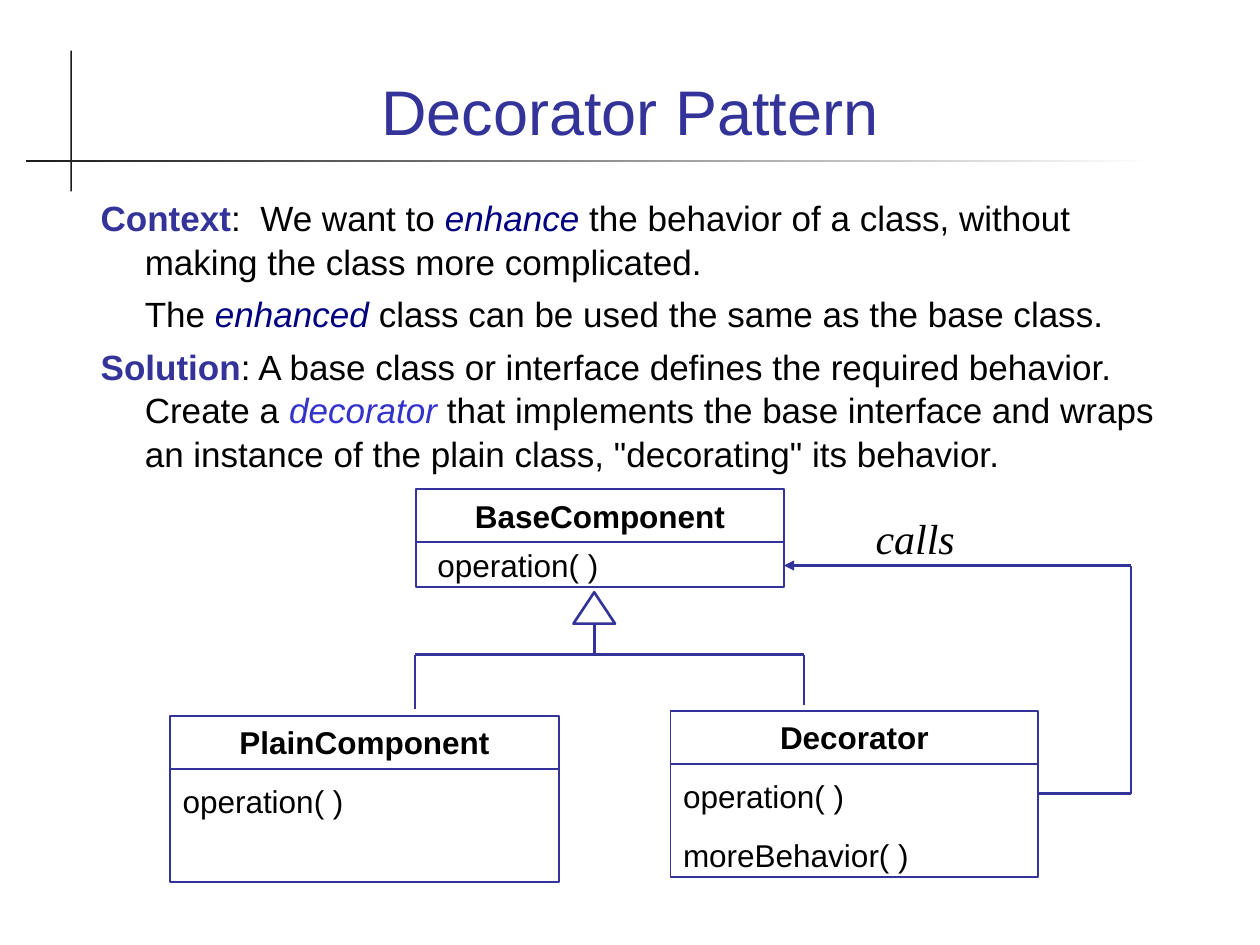
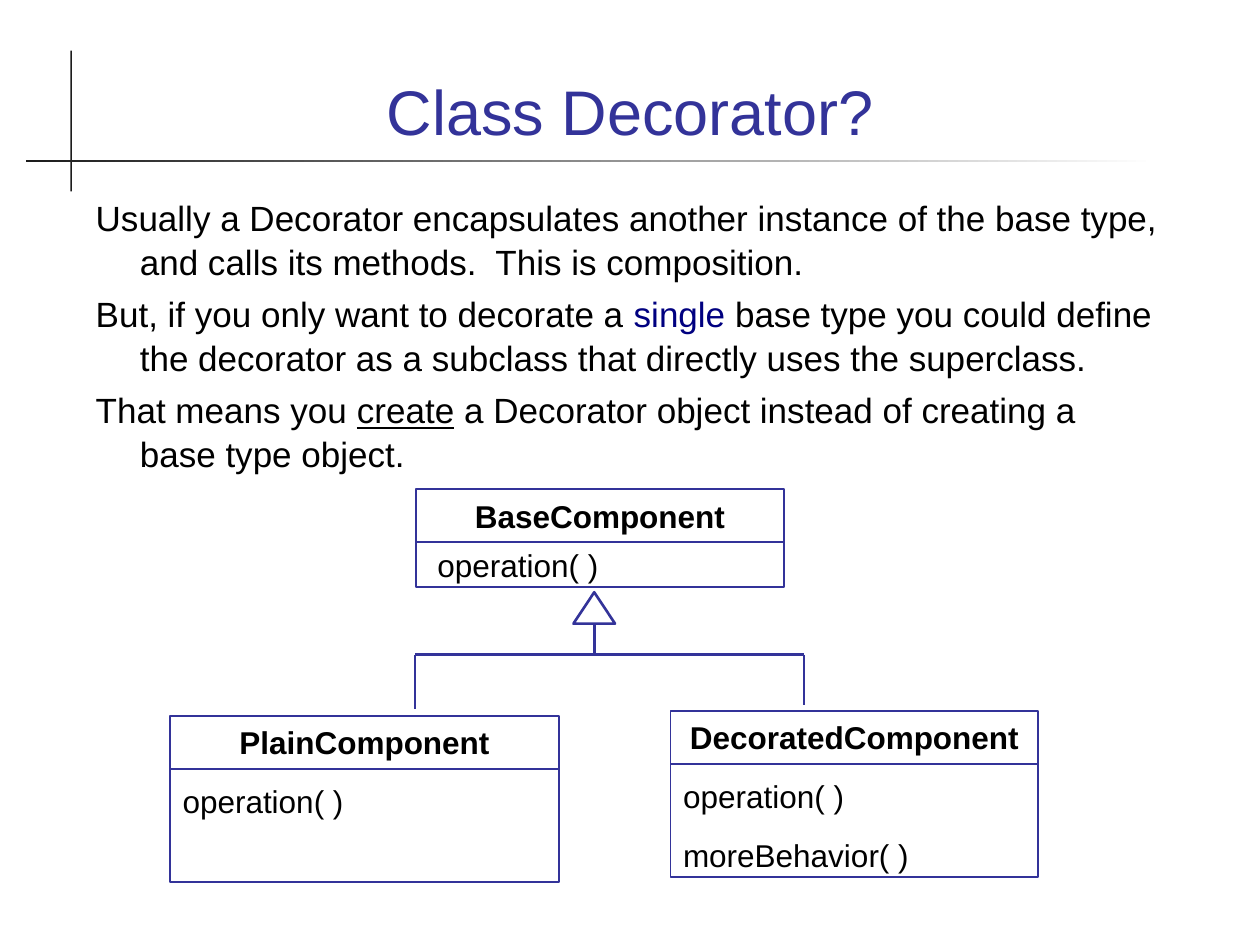
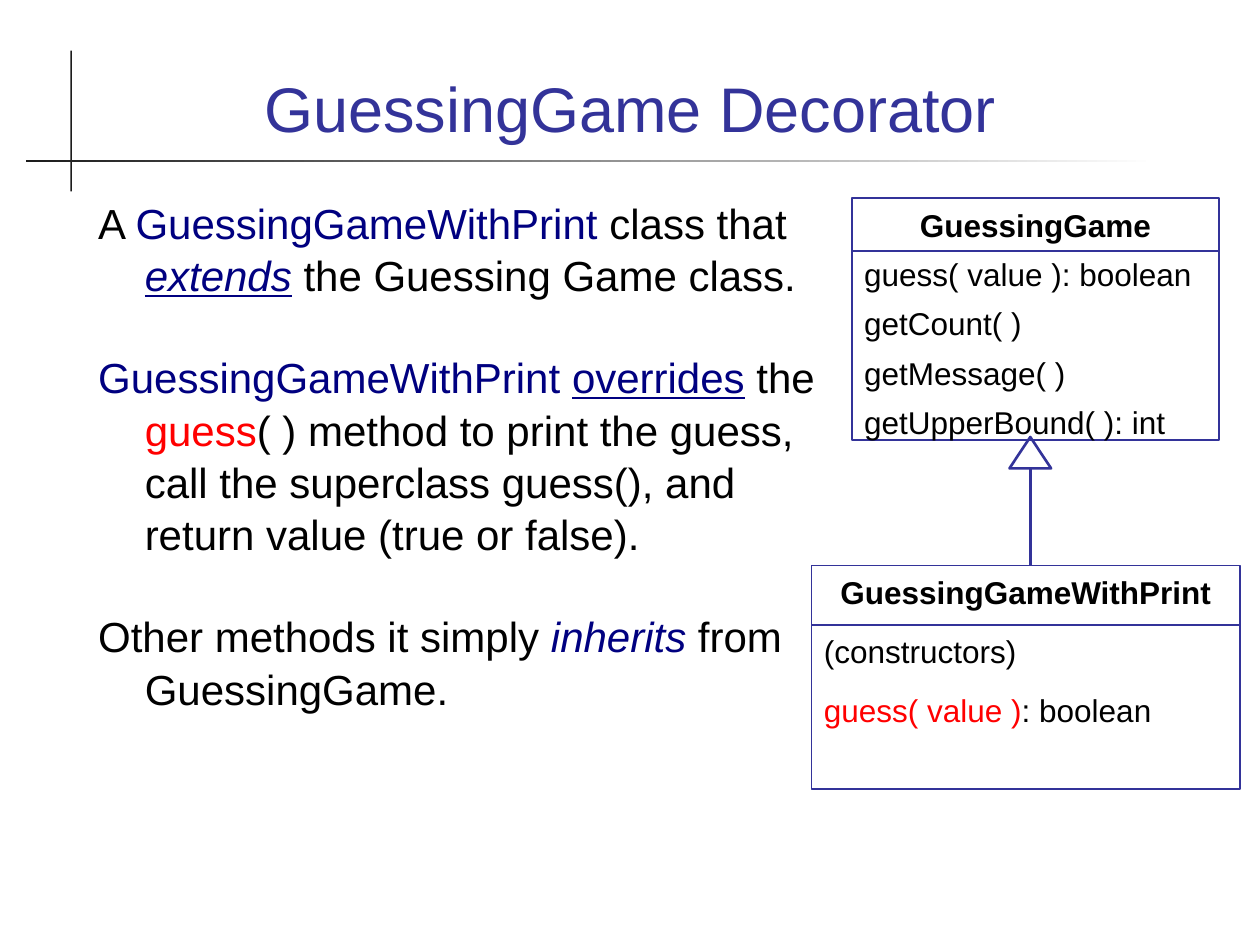
from dataclasses import dataclass

import pptx
import pptx.dml.color
import pptx.enum.shapes
import pptx.enum.text
import pptx.oxml.ns
import pptx.util
from lxml import etree
from pptx.util import Cm, Pt

SHAPE = pptx.enum.shapes.MSO_SHAPE
ALIGN = pptx.enum.text.PP_ALIGN
ANCHOR = pptx.enum.text.MSO_ANCHOR


@dataclass(frozen=True)
class Theme:
    indigo: str = "333399"
    navy: str = "000080"
    violet: str = "3333CC"
    red: str = "FF0000"
    black: str = "000000"
    rule: str = "1C1C1C"
    white: str = "FFFFFF"
    sans: str = "Arial"
    serif: str = "Times New Roman"
    title_size: float = 36
    body_size: float = 20
    large_size: float = 24
    class_size: float = 18
    leading: float = 1.04
    box_line: float = 1
    link_line: float = 1.5


THEME = Theme()

# Emphasis used inside running text
EMPHASIS = {
    "label": dict(color=THEME.indigo, bold=True),
    "term": dict(color=THEME.navy),
    "stress": dict(color=THEME.navy, italic=True),
    "pattern": dict(color=THEME.violet, italic=True),
    "underlined": dict(underline=True),
    "term underlined": dict(color=THEME.navy, underline=True),
    "stress underlined": dict(color=THEME.navy, italic=True, underline=True),
    "override": dict(color=THEME.red),
}


def rgb(color):
    return pptx.dml.color.RGBColor.from_string(color)


def style_font(font, color=None, **settings):
    for key, value in settings.items():
        setattr(font, key, value)
    if color:
        font.color.rgb = rgb(color)


class Deck:
    """Holds the theme and the slide being built."""

    def __init__(self, theme):
        self.theme = theme
        self.presentation = pptx.Presentation()
        self.presentation.slide_width = Cm(25.4)
        self.presentation.slide_height = Cm(19.05)
        self.slide = None

    def new_slide(self, title, height=2.41):
        blank = self.presentation.slide_layouts[6]
        self.slide = self.presentation.slides.add_slide(blank)
        self.title_rules()
        self.text(1.7, 0.71, 22, height, [title], self.theme.title_size,
                  color=self.theme.indigo, align=ALIGN.CENTER,
                  anchor=ANCHOR.BOTTOM, leading=1)

    def shape(self, kind, left, top, width, height):
        shape = self.slide.shapes.add_shape(
            kind, Cm(left), Cm(top), Cm(width), Cm(height))
        shape.shadow.inherit = False
        return shape

    def title_rules(self):
        upright = self.shape(SHAPE.RECTANGLE, 1.42, 1.02, 0.03, 2.84)
        upright.fill.solid()
        upright.fill.fore_color.rgb = rgb(self.theme.rule)
        fading = self.shape(SHAPE.RECTANGLE, 0.53, 3.23, 22.78, 0.03)
        fading.fill.gradient()
        fading.fill.gradient_angle = 0
        for stop, color in zip(fading.fill.gradient_stops,
                               (self.theme.rule, self.theme.white)):
            stop.color.rgb = rgb(color)
        for rule in (upright, fading):
            rule.line.fill.background()

    def paragraph(self, paragraph, runs, size, color=None, bold=False,
                  italic=False, face=None, align=ALIGN.LEFT, before=0,
                  hanging=None, leading=None):
        paragraph.alignment = align
        paragraph.line_spacing = leading or self.theme.leading
        paragraph.space_before = Pt(before)
        if hanging:
            properties = paragraph._p.get_or_add_pPr()
            properties.set("marL", str(Cm(0.97)))
            properties.set("indent", str(-Cm(hanging)))
        style_font(paragraph.font, color or self.theme.black, size=Pt(size),
                   name=face or self.theme.sans, bold=bold, italic=italic)
        for part in [runs] if isinstance(runs, str) else runs:
            words, emphasis = (part, None) if isinstance(part, str) else part
            run = paragraph.add_run()
            run.text = words
            if emphasis:
                style_font(run.font, **EMPHASIS[emphasis])

    def text(self, left, top, width, height, paragraphs, size, gap=0,
             anchor=ANCHOR.TOP, **style):
        box = self.slide.shapes.add_textbox(
            Cm(left), Cm(top), Cm(width), Cm(height))
        frame = box.text_frame
        frame.word_wrap = True
        frame.vertical_anchor = anchor
        for index, runs in enumerate(paragraphs):
            paragraph = frame.add_paragraph() if index else frame.paragraphs[0]
            self.paragraph(paragraph, runs, size,
                           before=gap if index else 0, **style)

    def line(self, x1, y1, x2, y2, weight=None, arrow=False):
        line = self.slide.shapes.add_connector(
            pptx.enum.shapes.MSO_CONNECTOR.STRAIGHT,
            Cm(x1), Cm(y1), Cm(x2), Cm(y2))
        line.line.color.rgb = rgb(self.theme.indigo)
        line.line.width = Pt(weight or self.theme.link_line)
        qn = pptx.oxml.ns.qn
        if arrow:
            etree.SubElement(line.line._get_or_add_ln(), qn("a:headEnd"),
                             type="triangle")
        etree.SubElement(line._element.spPr, qn("a:effectLst"))

    def outline(self, shape, weight):
        shape.fill.background()
        shape.line.color.rgb = rgb(self.theme.indigo)
        shape.line.width = Pt(weight)

    def class_box(self, left, top, width, height, name, members, gap=11.2,
                  header=1.07):
        box = self.shape(SHAPE.RECTANGLE, left, top, width, height)
        self.outline(box, self.theme.box_line)
        frame = box.text_frame
        frame.word_wrap = True
        frame.vertical_anchor = ANCHOR.TOP
        size = self.theme.class_size
        self.paragraph(frame.paragraphs[0], name, size, bold=True,
                       align=ALIGN.CENTER)
        for member in members:
            self.paragraph(frame.add_paragraph(), member, size, before=gap)
        self.line(left, top + header, left + width, top + header,
                  self.theme.box_line)

    def inherits(self, left, top, bottom):
        """Hollow arrowhead with a stem down to the subclass."""
        width, height = 0.84, 0.64
        head = self.shape(SHAPE.UP_ARROW, left, top, width, height)
        head.adjustments[0], head.adjustments[1] = 0, 0.99
        self.outline(head, self.theme.link_line)
        center = left + width / 2
        self.line(center, top + height, center, bottom)

    def component_tree(self, decorator):
        self.class_box(3.43, 14.43, 7.84, 3.35, "PlainComponent",
                       ["operation( )"])
        self.class_box(8.39, 9.86, 7.41, 1.98, "BaseComponent",
                       [" operation( )"], gap=5.8)
        self.class_box(13.52, 14.33, 7.41, 3.35, decorator,
                       ["operation( )", "moreBehavior( )"])
        plain_x, decorator_x, branch_y = 8.37, 16.21, 13.2
        self.inherits(11.56, 11.94, branch_y)
        self.line(plain_x, branch_y, decorator_x, branch_y)
        self.line(plain_x, branch_y, plain_x, 14.3)
        self.line(decorator_x, branch_y, decorator_x, 14.22)


def pattern_slide(deck):
    deck.new_slide("Decorator Pattern")
    deck.text(1.7, 3.81, 22, 5.92, [
        [("Context", "label"), ":  We want to ", ("enhance", "stress"),
         " the behavior of a class, without making the class more "
         "complicated."],
        ["\tThe ", ("enhanced", "stress"),
         " class can be used the same as the base class."],
        [("Solution", "label"),
         ": A base class or interface defines the required behavior. "
         "Create a ", ("decorator", "pattern"),
         " that implements the base interface and wraps an instance of the "
         "plain class, \"decorating\" its behavior."],
    ], THEME.body_size, gap=5, hanging=0.89)
    deck.component_tree("Decorator")

    # Call from the decorator back to the base class
    call_x, base_y, decorator_y = 22.8, 11.4, 16
    deck.line(15.8, base_y, call_x, base_y, arrow=True)
    deck.line(call_x, base_y, call_x, decorator_y)
    deck.line(20.93, decorator_y, call_x, decorator_y)
    deck.text(17.4, 10.21, 5.21, 1.27, ["calls"], THEME.large_size,
              face=THEME.serif, italic=True, leading=1)


def subclass_slide(deck):
    deck.new_slide("Class Decorator?")
    deck.text(1.6, 3.81, 22, 5.92, [
        "Usually a Decorator encapsulates another instance of the base type, "
        "and calls its methods.  This is composition.",
        ["But, if you only want to decorate a ", ("single", "term"),
         " base type you could define the decorator as a subclass that "
         "directly uses the superclass."],
        ["That means you ", ("create", "underlined"),
         " a Decorator object instead of creating a base type object."],
    ], THEME.body_size, gap=5, hanging=0.89)
    deck.component_tree("DecoratedComponent")


def guessing_game_slide(deck):
    deck.new_slide("GuessingGame Decorator", height=2.34)
    deck.text(1.7, 3.81, 15.29, 12.34, [
        ["A ", ("GuessingGameWithPrint", "term"), " class that ",
         ("extends", "stress underlined"), " the Guessing Game class."],
        [("GuessingGameWithPrint ", "term"), ("overrides", "term underlined"),
         " the ", ("guess", "override"),
         "( ) method to print the guess, call the superclass guess(), and "
         "return value (true or false)."],
        ["Other methods it simply ", ("inherits", "stress"),
         " from GuessingGame."],
    ], THEME.large_size, gap=28.4, hanging=0.94)
    deck.class_box(16.36, 11.4, 8.64, 4.5, "GuessingGameWithPrint", [
        "(constructors)",
        [("guess( value )", "override"), ": boolean"],
    ], header=1.2)
    deck.class_box(17.17, 3.99, 7.41, 4.88, "GuessingGame", [
        "guess( value ): boolean", "getCount( )", "getMessage( )",
        "getUpperBound( ): int",
    ], gap=5.8)
    deck.inherits(20.35, 8.81, 11.4)


def main():
    deck = Deck(THEME)
    pattern_slide(deck)
    subclass_slide(deck)
    guessing_game_slide(deck)
    deck.presentation.save("out.pptx")


if __name__ == "__main__":
    main()
